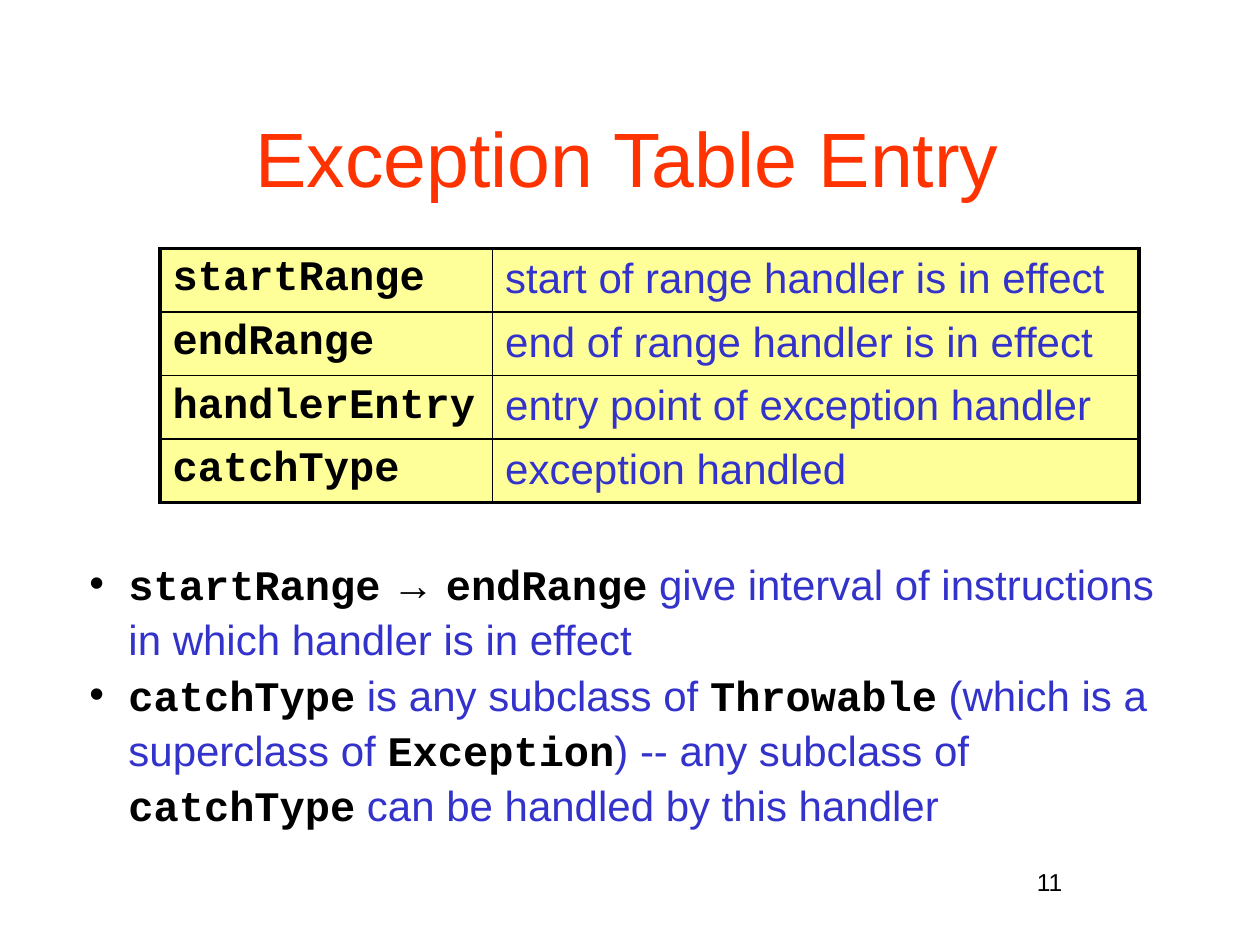
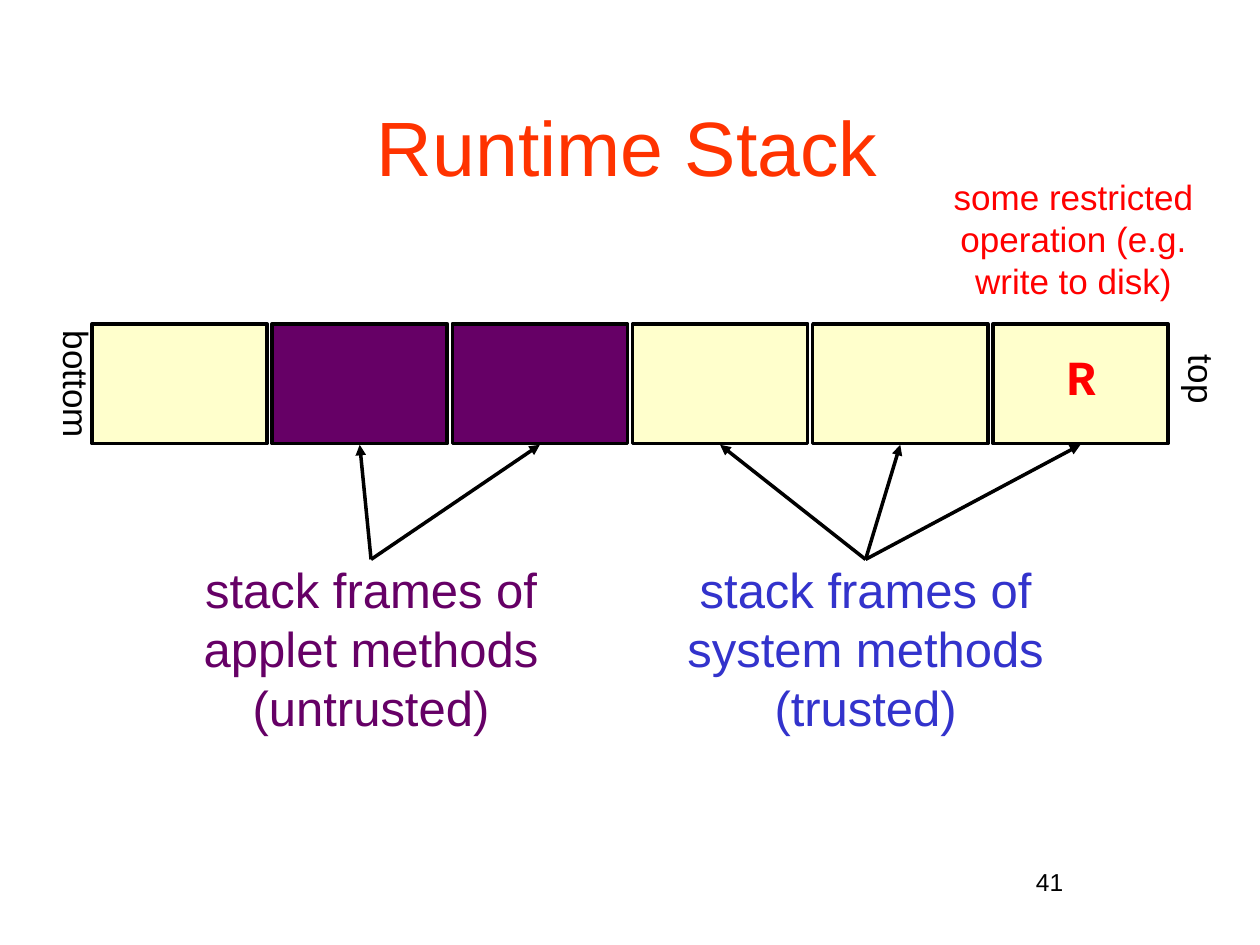
"""Build two slides on exception tables and the runtime stack."""
from dataclasses import dataclass
from typing import NamedTuple

from lxml.etree import SubElement
from pptx import Presentation
from pptx.dml.color import RGBColor
from pptx.enum.shapes import MSO_CONNECTOR, MSO_SHAPE
from pptx.enum.text import MSO_ANCHOR, MSO_AUTO_SIZE, PP_ALIGN
from pptx.oxml.ns import qn
from pptx.util import Inches, Pt


@dataclass(frozen=True)
class Theme:
    sans: str = "Arial"
    mono: str = "Courier New"
    black: str = "000000"
    orange: str = "FF3300"
    blue: str = "3333CC"
    red: str = "FF0000"
    purple: str = "660066"
    cream: str = "FFFFCC"
    yellow: str = "FFFF99"
    title_size: int = 44
    large_size: int = 28
    body_size: int = 24
    note_size: int = 20
    number_size: int = 14
    frame_line: float = 2
    outer_border: float = 2.25
    inner_border: float = 1


THEME = Theme()


class Area(NamedTuple):
    left: float
    top: float
    width: float
    height: float

    def lengths(self):
        return [Inches(value) for value in self]


class Style(NamedTuple):
    size: float
    color: str
    face: str = THEME.sans
    bold: bool = False


class Label(NamedTuple):
    lines: tuple[str, ...]
    area: Area
    style: Style
    rotation: float = 0


class Span(NamedTuple):
    text: str
    style: Style


class Group(NamedTuple):
    label: Label
    frames: tuple[int, ...]


CODE = Style(THEME.body_size, THEME.black, THEME.mono, True)
PROSE = Style(THEME.body_size, THEME.blue)
ARROW = Style(THEME.body_size, THEME.black)
TITLE = Style(THEME.title_size, THEME.orange)
NUMBER = Style(THEME.number_size, THEME.black)
END_MARK = Style(THEME.note_size, THEME.black)

TITLE_INSETS = (0.06, 0.06, 0.14, 0.06)
LABEL_INSETS = (0, 0, 0.04, 0)
CELL_INSETS = (0.06, 0.06, 0.06, 0.04)
NUMBER_INSETS = (0, 0.05, 0, 0.05)
TEXT_INDENT = 0.04

NUMBER_AREA = Area(8.08, 6.83, 0.5, 0.33)
TABLE_AREA = Area(1.27, 1.97, 7.77, 2.02)
COLUMN_WIDTHS = (2.64, 5.13)
ENTRIES = (
    ("startRange", "start of range handler is in effect"),
    ("endRange", "end of range handler is in effect"),
    ("handlerEntry", "entry point of exception handler"),
    ("catchType", "exception handled"),
)
BULLETS_AREA = Area(0.66, 4.39, 8.74, 2.32)
BULLETS = (
    (
        Span("startRange", CODE),
        Span(" → ", ARROW),
        Span("endRange", CODE),
        Span(" give interval of instructions in which handler is in effect", PROSE),
    ),
    (
        Span("catchType", CODE),
        Span(" is any subclass of ", PROSE),
        Span("Throwable", CODE),
        Span(" (which is a superclass of ", PROSE),
        Span("Exception", CODE),
        Span(") -- any subclass of ", PROSE),
        Span("catchType", CODE),
        Span(" can be handled by this handler", PROSE),
    ),
)

FIRST_FRAME = Area(0.73, 2.57, 1.39, 0.95)
FRAME_STEP = 1.43
FRAME_FILLS = (THEME.cream, THEME.purple, THEME.purple,
               THEME.cream, THEME.cream, THEME.cream)
ARROW_TIP = 3.53
GROUPS = (
    Group(Label(("stack frames of", "applet methods", "(untrusted)"),
                Area(1.43, 4.44, 3.03, 1.43),
                Style(THEME.large_size, THEME.purple)), (1, 2)),
    Group(Label(("stack frames of", "system methods", "(trusted)"),
                Area(5.27, 4.44, 3.2, 1.43),
                Style(THEME.large_size, THEME.blue)), (3, 4, 5)),
)
STACK_LABELS = (
    Label(("top",), Area(9.22, 2.8, 0.56, 0.42), END_MARK, 90),
    Label(("bottom",), Area(0.06, 2.84, 1.02, 0.42), END_MARK, 90),
    Label(("some restricted", "operation (e.g.", "write to disk)"),
          Area(7.4, 1.39, 2.24, 1.06), Style(THEME.note_size, THEME.red)),
    Label(("R",), Area(8.38, 2.75, 0.4, 0.54),
          Style(THEME.large_size, THEME.red, THEME.mono, True)),
)


def apply_style(font, style: Style) -> None:
    font.name = style.face
    font.size = Pt(style.size)
    font.bold = style.bold
    font.color.rgb = RGBColor.from_string(style.color)


def set_insets(target, insets: tuple) -> None:
    (target.margin_left, target.margin_top,
     target.margin_right, target.margin_bottom) = map(Inches, insets)


def set_indent(para, left: float, first: float = 0) -> None:
    properties = para._p.get_or_add_pPr()
    properties.set("marL", str(Inches(left)))
    properties.set("indent", str(Inches(first)))


def write_lines(para, lines: tuple, style: Style, align=PP_ALIGN.CENTER) -> None:
    para.alignment = align
    apply_style(para.font, style)
    for index, line in enumerate(lines):
        if index:
            para.add_line_break()
        para.add_run().text = line


def add_page(deck, title: str, area: Area, number: int):
    page = deck.slides.add_slide(deck.slide_layouts[5])
    heading = page.shapes.title
    heading.left, heading.top, heading.width, heading.height = area.lengths()
    frame = heading.text_frame
    frame.word_wrap = True
    frame.auto_size = MSO_AUTO_SIZE.NONE
    frame.vertical_anchor = MSO_ANCHOR.MIDDLE
    set_insets(frame, TITLE_INSETS)
    set_indent(frame.paragraphs[0], TEXT_INDENT)
    write_lines(frame.paragraphs[0], (title,), TITLE)

    box = page.shapes.add_textbox(*NUMBER_AREA.lengths())
    box.text_frame.word_wrap = False
    set_insets(box.text_frame, NUMBER_INSETS)
    write_lines(box.text_frame.paragraphs[0], (str(number),), NUMBER)
    return page


def add_label(page, label: Label) -> None:
    box = page.shapes.add_textbox(*label.area.lengths())
    box.rotation = label.rotation
    frame = box.text_frame
    frame.word_wrap = False
    frame.auto_size = MSO_AUTO_SIZE.SHAPE_TO_FIT_TEXT
    set_insets(frame, LABEL_INSETS)
    set_indent(frame.paragraphs[0], TEXT_INDENT)
    write_lines(frame.paragraphs[0], label.lines, label.style)


def set_border(cell, side: str, width: float) -> None:
    line = SubElement(cell._tc.get_or_add_tcPr(), qn(f"a:{side}"), w=str(Pt(width)))
    fill = SubElement(line, qn("a:solidFill"))
    SubElement(fill, qn("a:srgbClr"), val=THEME.black)


def add_entry_table(page) -> None:
    rows, columns = len(ENTRIES), len(COLUMN_WIDTHS)
    table = page.shapes.add_table(rows, columns, *TABLE_AREA.lengths()).table
    table.first_row = table.horz_banding = False
    for column, width in zip(table.columns, COLUMN_WIDTHS):
        column.width = Inches(width)
    for row, entry in enumerate(ENTRIES):
        for column, (text, style) in enumerate(zip(entry, (CODE, PROSE))):
            cell = table.cell(row, column)
            edges = {"lnL": column == 0, "lnR": column == columns - 1,
                     "lnT": row == 0, "lnB": row == rows - 1}
            for side, outer in edges.items():
                set_border(cell, side, THEME.outer_border if outer else THEME.inner_border)
            cell.fill.solid()
            cell.fill.fore_color.rgb = RGBColor.from_string(THEME.yellow)
            set_insets(cell, CELL_INSETS)
            para = cell.text_frame.paragraphs[0]
            set_indent(para, TEXT_INDENT)
            write_lines(para, (text,), style, PP_ALIGN.LEFT)


def add_bullets(page) -> None:
    frame = page.shapes.add_textbox(*BULLETS_AREA.lengths()).text_frame
    frame.word_wrap = True
    set_insets(frame, LABEL_INSETS)
    for index, spans in enumerate(BULLETS):
        para = frame.add_paragraph() if index else frame.paragraphs[0]
        set_indent(para, 0.36, -0.31)
        properties = para._p.get_or_add_pPr()
        color = SubElement(properties, qn("a:buClr"))
        SubElement(color, qn("a:srgbClr"), val=THEME.black)
        SubElement(properties, qn("a:buFont"), typeface=THEME.sans)
        SubElement(properties, qn("a:buChar"), char="•")
        para.line_spacing = 1.1
        para.font.size = Pt(THEME.body_size)
        for span in spans:
            run = para.add_run()
            run.text = span.text
            apply_style(run.font, span.style)


def frame_left(index: int) -> float:
    return FIRST_FRAME.left + index * FRAME_STEP


def add_stack_frame(page, index: int, color: str) -> None:
    area = FIRST_FRAME._replace(left=frame_left(index))
    box = page.shapes.add_shape(MSO_SHAPE.RECTANGLE, *area.lengths())
    box.shadow.inherit = False
    box.fill.solid()
    box.fill.fore_color.rgb = RGBColor.from_string(color)
    box.line.color.rgb = RGBColor.from_string(THEME.black)
    box.line.width = Pt(THEME.frame_line)


def add_arrow(page, label: Label, index: int) -> None:
    start = label.area.left + label.area.width / 2
    tip = frame_left(index) + FIRST_FRAME.width / 2
    arrow = page.shapes.add_connector(
        MSO_CONNECTOR.STRAIGHT, Inches(start), Inches(label.area.top),
        Inches(tip), Inches(ARROW_TIP))
    arrow.line.color.rgb = RGBColor.from_string(THEME.black)
    arrow.line.width = Pt(THEME.frame_line)
    SubElement(arrow.line._get_or_add_ln(), qn("a:tailEnd"), type="triangle")
    SubElement(arrow._element.spPr, qn("a:effectLst"))


def main() -> None:
    deck = Presentation()
    deck.slide_width, deck.slide_height = Inches(10), Inches(7.5)

    page = add_page(deck, "Exception Table Entry", Area(0.75, 0.33, 8.5, 1.83), 11)
    add_entry_table(page)
    add_bullets(page)

    page = add_page(deck, "Runtime Stack", Area(0.75, 0.15, 8.5, 2.02), 41)
    for index, color in enumerate(FRAME_FILLS):
        add_stack_frame(page, index, color)
    for group in GROUPS:
        add_label(page, group.label)
        for index in group.frames:
            add_arrow(page, group.label, index)
    for label in STACK_LABELS:
        add_label(page, label)

    deck.save("out.pptx")


if __name__ == "__main__":
    main()
